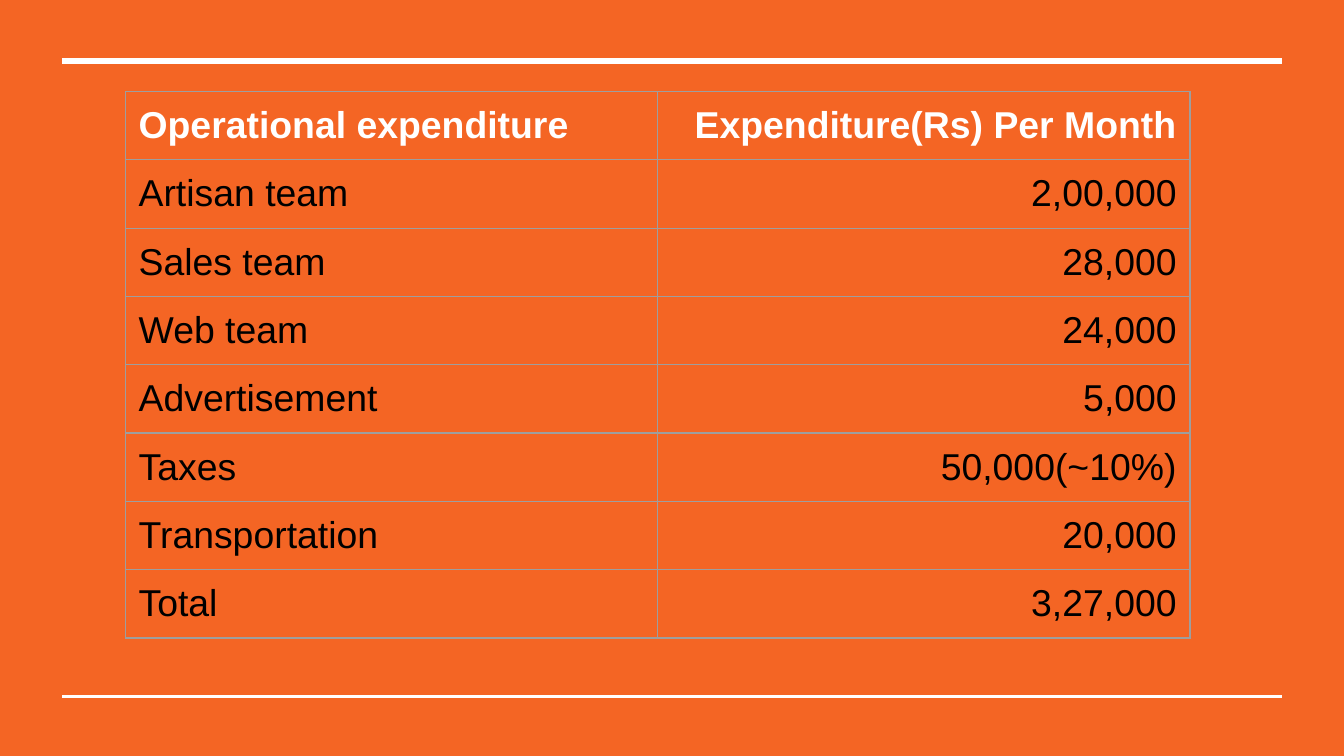
"""Build a slide with a table of monthly operational expenditure."""
from lxml import etree
from pptx import Presentation, util as u
from pptx.dml.color import RGBColor
from pptx.enum import shapes, text
from pptx.oxml import ns

COLORS = {"orange": "F46524", "white": "FFFFFF", "black": "000000", "grey": "9E9E9E"}
ROWS = [
    ("Operational expenditure", "Expenditure(Rs) Per Month"),
    ("Artisan team", "2,00,000"),
    ("Sales team", "28,000"),
    ("Web team", "24,000"),
    ("Advertisement", "5,000"),
    ("Taxes", "50,000(~10%)"),
    ("Transportation", "20,000"),
    ("Total", "3,27,000"),
]
STRONG_RULES_BELOW = {1, 2, 5, 6, 7}


def write_cell(cell, words, *, color, bold, align):
    cell.fill.background()
    cell.margin_left = cell.margin_right = u.Cm(0.25)
    cell.margin_top = cell.margin_bottom = u.Cm(0.25)
    para = cell.text_frame.paragraphs[0]
    para.alignment = align
    span = para.add_run()
    span.text = words
    span.font.name = "Arial"
    span.font.size = u.Pt(20)
    span.font.bold = bold
    span.font.color.rgb = RGBColor.from_string(COLORS[color])


def add_border(cell, side, position, opacity):
    border = etree.Element(ns.qn(f"a:{side}"), w=str(u.Pt(0.75)))
    fill = etree.SubElement(border, ns.qn("a:solidFill"))
    color = etree.SubElement(fill, ns.qn("a:srgbClr"), val=COLORS["grey"])
    if opacity < 100:
        etree.SubElement(color, ns.qn("a:alpha"), val=str(opacity * 1000))
    cell._tc.get_or_add_tcPr().insert(position, border)


deck = Presentation()
deck.slide_width, deck.slide_height = u.Cm(25.4), u.Cm(14.28)
page = deck.slides.add_slide(deck.slide_layouts[6])
page.background.fill.solid()
page.background.fill.fore_color.rgb = RGBColor.from_string(COLORS["orange"])

for y, width in ((1.15, 3), (13.16, 1.5)):
    rule = page.shapes.add_connector(
        shapes.MSO_CONNECTOR.STRAIGHT, u.Cm(1.18), u.Cm(y), u.Cm(24.22), u.Cm(y)
    )
    rule.line.color.rgb = RGBColor.from_string(COLORS["white"])
    rule.line.width = u.Pt(width)
    etree.SubElement(rule._element.spPr, ns.qn("a:effectLst"))

column_width, row_height = u.Cm(10.06), u.Cm(1.29)
table = page.shapes.add_table(
    len(ROWS), 2, u.Cm(2.37), u.Cm(1.73), 2 * column_width, len(ROWS) * row_height
).table
table.horz_banding = False
for column in table.columns:
    column.width = column_width

for index, row in enumerate(ROWS):
    table.rows[index].height = row_height
    header = index == 0
    opacities = {
        "lnL": 15,
        "lnR": 15,
        "lnT": 100 if index - 1 in STRONG_RULES_BELOW else 15,
        "lnB": 100 if index in STRONG_RULES_BELOW else 15,
    }
    for column, words in enumerate(row):
        cell = table.cell(index, column)
        write_cell(
            cell,
            words,
            color="white" if header else "black",
            bold=header,
            align=text.PP_ALIGN.RIGHT if column else text.PP_ALIGN.LEFT,
        )
        for position, (side, opacity) in enumerate(opacities.items()):
            add_border(cell, side, position, opacity)

deck.save("out.pptx")
